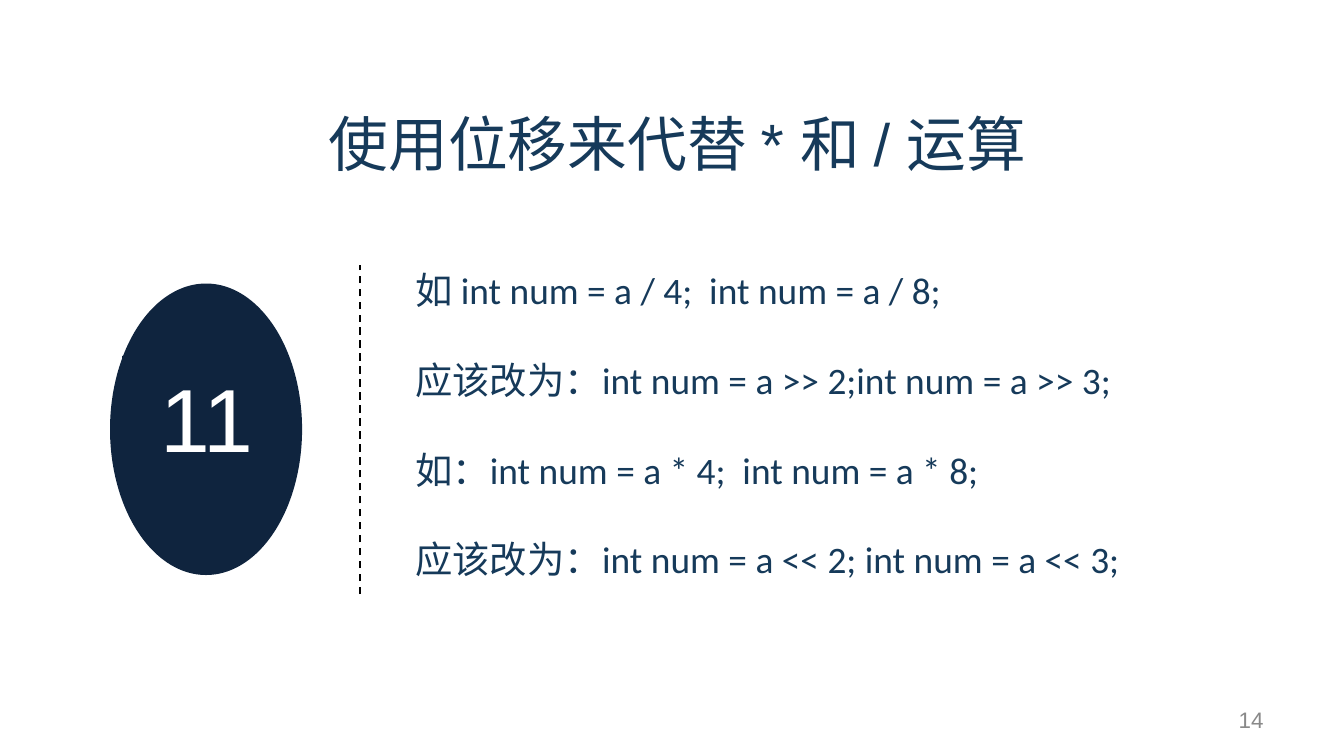
"""Build a slide with a numbered badge, a title and a list of code tips."""
import pptx
import pptx.dml.color
import pptx.enum.dml
import pptx.enum.shapes
import pptx.enum.text
import pptx.oxml
import pptx.oxml.ns
import pptx.util

Cm = pptx.util.Cm
Pt = pptx.util.Pt
Align = pptx.enum.text.PP_ALIGN
Anchor = pptx.enum.text.MSO_ANCHOR
Shape = pptx.enum.shapes.MSO_SHAPE

NAVY = "0F243E"
BLUE = "163A5A"
TIPS = [
    "如 int num = a / 4;  int num = a / 8;",
    "应该改为：int num = a >> 2;int num = a >> 3;",
    "如：int num = a * 4;  int num = a * 8;",
    "应该改为：int num = a << 2; int num = a << 3;",
]


def paint(part, tone):
    """Set a fill or font part to a hex colour."""
    part.rgb = pptx.dml.color.RGBColor.from_string(tone)


def place(shape, box):
    """Move a shape to a box of left, top, width and height in cm."""
    shape.left, shape.top, shape.width, shape.height = map(Cm, box)


def style(shape, face, size, tone, align=Align.LEFT, anchor=Anchor.TOP):
    """Format the frame and all runs of a shape."""
    frame = shape.text_frame
    frame.word_wrap = True
    frame.auto_size = pptx.enum.text.MSO_AUTO_SIZE.NONE
    frame.vertical_anchor = anchor
    for para in frame.paragraphs:
        para.alignment = align
        for run in para.runs:
            run.font.name = face
            run.font.size = Pt(size)
            paint(run.font.color, tone)


def add_title(slide, box, text):
    """Fill the title placeholder."""
    title = slide.shapes.title
    place(title, box)
    title.text_frame.text = text
    style(title, "Arial", 32, BLUE, Align.CENTER)


def add_list(slide, box, lines):
    """Fill the body placeholder with evenly spaced lines without bullets."""
    body = slide.placeholders[1]
    place(body, box)
    frame = body.text_frame
    for index, line in enumerate(lines):
        para = frame.add_paragraph() if index else frame.paragraphs[0]
        para.text = line
        para.space_before = Pt(24 if index else 0)
        props = para._p.get_or_add_pPr()
        props.set("marL", "0")
        props.set("indent", "0")
        props.append(pptx.oxml.parse_xml(
            "<a:buNone %s/>" % pptx.oxml.ns.nsdecls("a")))
    style(body, "Calibri", 20, BLUE)


def add_form(slide, kind, box, tone):
    """Add a plain filled shape."""
    form = slide.shapes.add_shape(kind, *map(Cm, box))
    form.shadow.inherit = False
    form.fill.solid()
    paint(form.fill.fore_color, tone)
    form.line.fill.background()
    return form


def add_badge(slide, box, text):
    """Add an oval with a label plate inside it."""
    left, top, width, height = box
    add_form(slide, Shape.OVAL, box, NAVY)
    inner = (left + 0.23, top + 1.37, width - 0.63, 2.29)
    plate = add_form(slide, Shape.RECTANGLE, inner, NAVY)
    plate.text_frame.text = text
    style(plate, "Arial", 48, "FFFFFF")


def add_rule(slide, box):
    """Add a dashed upright line along the left edge of a box."""
    left, top, width, height = box
    rule = slide.shapes.add_connector(
        pptx.enum.shapes.MSO_CONNECTOR.STRAIGHT,
        Cm(left), Cm(top + height), Cm(left), Cm(top))
    rule.line.width = Pt(1)
    rule.line.dash_style = pptx.enum.dml.MSO_LINE.DASH
    paint(rule.line.color, "000000")
    rule._element.spPr.append(pptx.oxml.parse_xml(
        "<a:effectLst %s/>" % pptx.oxml.ns.nsdecls("a")))


def add_page(slide, box, text):
    """Add the page number."""
    page = slide.shapes.add_textbox(*map(Cm, box))
    page.text_frame.text = text
    style(page, "Arial", 12, "898989", Align.RIGHT, Anchor.MIDDLE)


def main():
    """Build and save the deck."""
    deck = pptx.Presentation()
    deck.slide_width, deck.slide_height = Cm(25.4), Cm(14.29)
    slide = deck.slides.add_slide(deck.slide_layouts[1])
    add_list(slide, (7.59, 4.93, 13.84, 7.87), TIPS)
    add_rule(slide, (6.8, 5, 0, 6.23))
    add_title(slide, (5.45, 1.9, 14.71, 2.97), "使用位移来代替 * 和 / 运算")
    add_badge(slide, (2.08, 5.36, 3.63, 5.51), " 11")
    add_page(slide, (18.21, 13.23, 5.92, 0.76), "14")
    deck.save("out.pptx")


if __name__ == "__main__":
    main()
